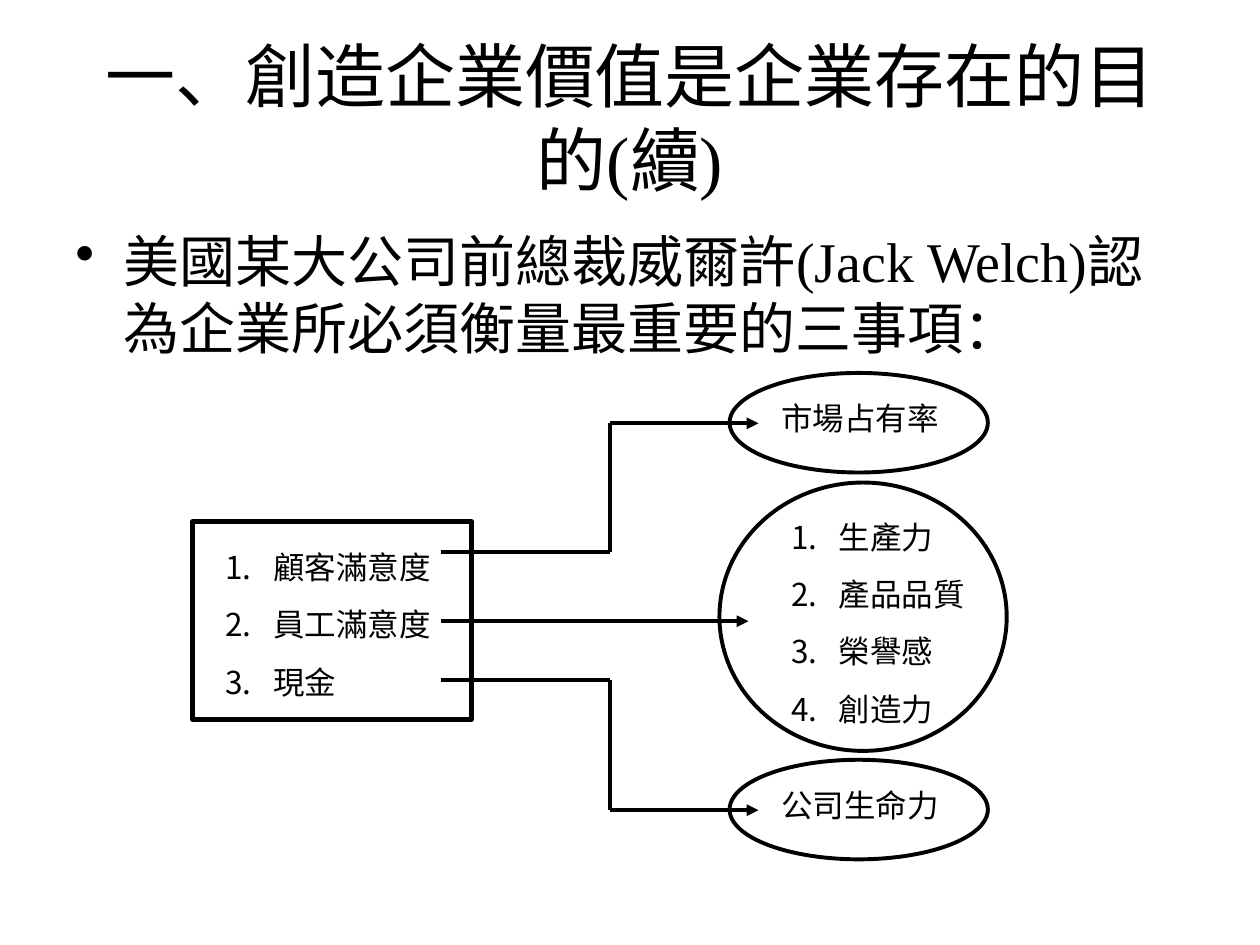
from dataclasses import dataclass
from typing import Optional

from lxml import etree
from pptx import Presentation
from pptx import util as u
from pptx.dml.color import RGBColor
from pptx.enum import shapes, text
from pptx.oxml import ns

FONT = "Times New Roman"
INK = "000000"
STEM = 3.5
BEND = 4.84


@dataclass
class Box:
    left: float
    top: float
    width: float
    height: float

    def lengths(self) -> list:
        return [u.Inches(n) for n in (self.left, self.top, self.width, self.height)]


@dataclass
class Goal:
    oval: Box
    label: Box
    lines: list
    start: float
    tip: tuple
    bullet: Optional[str] = None


def paint(color, value: str) -> None:
    color.rgb = RGBColor.from_string(value)


def add_tag(parent, tag: str, **attrs):
    return etree.SubElement(parent, ns.qn(tag), **attrs)


def write(frame, lines: list, size: float, bullet=None, space=0.0,
          align=text.PP_ALIGN.LEFT, anchor=text.MSO_ANCHOR.TOP) -> None:
    frame.word_wrap = True
    frame.auto_size = text.MSO_AUTO_SIZE.NONE
    frame.vertical_anchor = anchor
    for i, line in enumerate(lines):
        para = frame.paragraphs[0] if i == 0 else frame.add_paragraph()
        para.alignment = align
        para.space_before = u.Pt(space if i else 0)
        if bullet:
            props = para._p.get_or_add_pPr()
            props.set("marL", str(u.Inches(0.38)))
            props.set("indent", str(-u.Inches(0.38)))
            if bullet == "1.":
                add_tag(props, "a:buAutoNum", type="arabicPeriod")
            else:
                add_tag(props, "a:buChar", char=bullet)
        run = para.add_run()
        run.text = line
        run.font.size = u.Pt(size)
        run.font.name = FONT
        paint(run.font.color, INK)


def add_text(slide, box: Box, lines: list, size: float, **style) -> None:
    write(slide.shapes.add_textbox(*box.lengths()).text_frame, lines, size, **style)


def add_frame(slide, kind, box: Box, weight: float) -> None:
    shape = slide.shapes.add_shape(kind, *box.lengths())
    shape.shadow.inherit = False
    shape.fill.background()
    paint(shape.line.color, INK)
    shape.line.width = u.Pt(weight)


def add_line(slide, start: tuple, end: tuple, arrow: bool) -> None:
    ends = [u.Inches(n) for n in (*start, *end)]
    link = slide.shapes.add_connector(shapes.MSO_CONNECTOR.STRAIGHT, *ends)
    paint(link.line.color, INK)
    link.line.width = u.Pt(2.25)
    if arrow:
        add_tag(link.line._get_or_add_ln(), "a:tailEnd", type="triangle")
    add_tag(link._element.spPr, "a:effectLst")


def add_goal(slide, goal: Goal) -> None:
    add_frame(slide, shapes.MSO_SHAPE.OVAL, goal.oval, 2.25)
    add_text(slide, goal.label, goal.lines, 18, bullet=goal.bullet, space=11.2)
    points = [(STEM, goal.start), goal.tip]
    if goal.start != goal.tip[1]:
        points[1:1] = [(BEND, goal.start), (BEND, goal.tip[1])]
    for start, end in zip(points, points[1:]):
        add_line(slide, start, end, arrow=end == goal.tip)


def small_goal(top: float, name: str, start: float) -> Goal:
    return Goal(Box(5.79, top, 2.05, 0.79), Box(6.1, top + 0.16, 1.81, 0.4),
                [name], start, (6.02, top + 0.4))


GOALS = [
    small_goal(2.96, "市場占有率", 4.38),
    Goal(Box(5.71, 3.83, 2.28, 2.13), Box(6.18, 4.06, 1.65, 1.77),
         ["生產力", "產品品質", "榮譽感", "創造力"], 4.93, (5.94, 4.93), "1."),
    small_goal(6.03, "公司生命力", 5.4),
]


def main() -> None:
    deck = Presentation()
    deck.slide_width, deck.slide_height = u.Inches(10), u.Inches(7.5)
    slide = deck.slides.add_slide(deck.slide_layouts[5])

    title = slide.shapes.title
    title.left, title.top, title.width, title.height = Box(0.5, 0.3, 9, 1.25).lengths()
    write(title.text_frame, ["一、創造企業價值是企業存在的目的(續)"], 40,
          align=text.PP_ALIGN.CENTER, anchor=text.MSO_ANCHOR.MIDDLE)
    add_text(slide, Box(0.5, 1.75, 9, 1.2),
             ["美國某大公司前總裁威爾許(Jack Welch)認為企業所必須衡量最重要的三事項："],
             32, bullet="•")

    add_frame(slide, shapes.MSO_SHAPE.RECTANGLE, Box(1.53, 4.14, 2.21, 1.57), 3)
    add_text(slide, Box(1.69, 4.3, 2.84, 1.32), ["顧客滿意度", "員工滿意度", "現金"],
             18, bullet="1.", space=11.2)
    for goal in GOALS:
        add_goal(slide, goal)

    deck.save("out.pptx")


if __name__ == "__main__":
    main()
